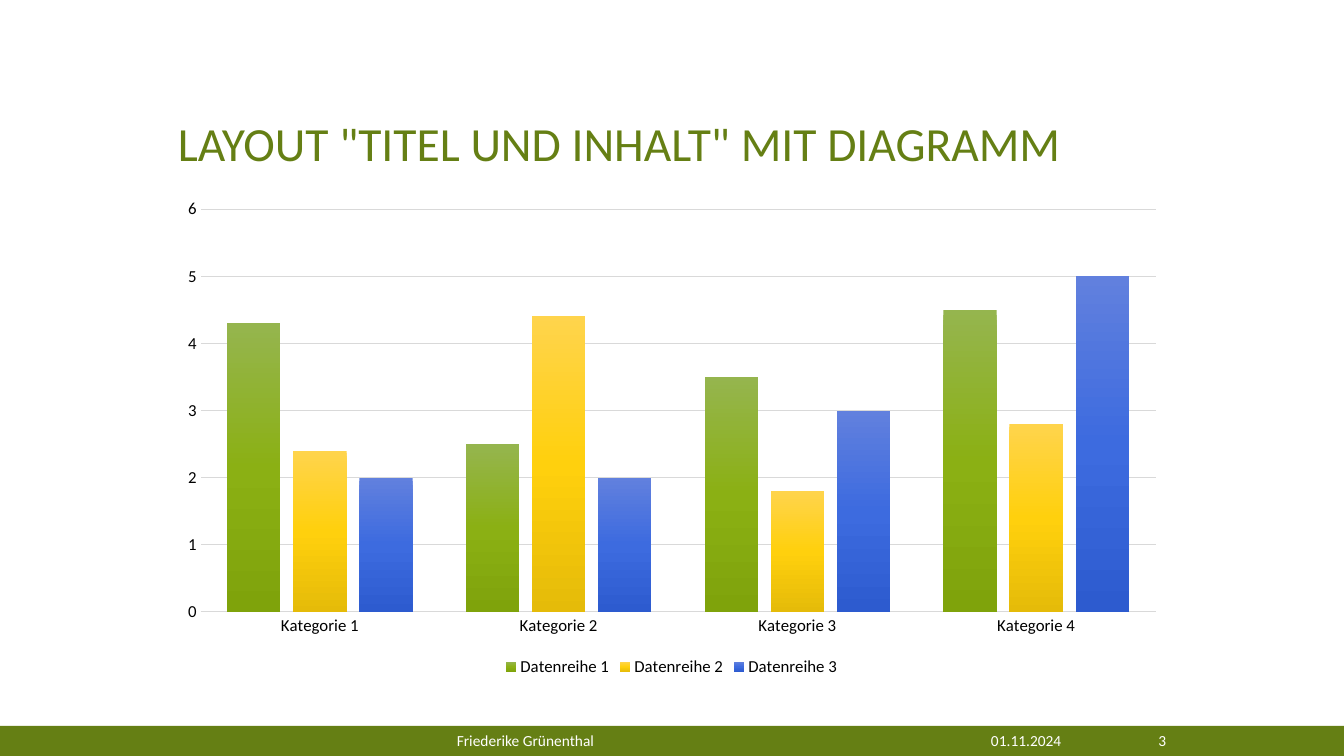
from lxml import etree
from pptx import Presentation
from pptx.chart import data
from pptx.dml.color import RGBColor
from pptx.enum import chart as ch, shapes, text
from pptx.oxml import ns
from pptx.util import Cm, Pt

FONT = "Calibri"
OLIVE = RGBColor(0x65, 0x7F, 0x14)
WHITE = RGBColor(0xFF, 0xFF, 0xFF)
BLACK = RGBColor(0, 0, 0)
GRID = RGBColor(0xD9, 0xD9, 0xD9)

HEADING = 'LAYOUT "TITEL UND INHALT" MIT DIAGRAMM'
CATEGORIES = [f"Kategorie {n}" for n in range(1, 5)]


def shades(*codes):
    return [RGBColor.from_string(code) for code in codes]


SERIES = [
    ("Datenreihe 1", (4.3, 2.5, 3.5, 4.5), shades("95B54E", "8BB014", "7FA30B")),
    ("Datenreihe 2", (2.4, 4.4, 1.8, 2.8), shades("FFD44C", "FFD00D", "E5BB09")),
    ("Datenreihe 3", (2, 2, 3, 5), shades("6180DE", "3D6BDF", "2D5BCF")),
]
FOOTER = [
    ("Friederike Grünenthal", 4.23, 18.03, text.PP_ALIGN.CENTER),
    ("01.11.2024", 22.73, 4.27, text.PP_ALIGN.RIGHT),
    ("3", 27.48, 2.16, text.PP_ALIGN.RIGHT),
]
WIDTH, HEIGHT = Cm(33.87), Cm(19.05)
LEFT, CONTENT_WIDTH = Cm(4.23), Cm(25.4)
BAND_TOP = Cm(18.29)


def style(font, size, color):
    font.name = FONT
    font.size = Pt(size)
    font.color.rgb = color


def add_words(paragraph, words, size, color):
    run = paragraph.add_run()
    run.text = words
    style(run.font, size, color)


def grade(fill, colors):
    fill.gradient()
    fill.gradient_angle = 270
    stops = fill._fill._gradFill.find(ns.qn("a:gsLst"))
    for stop in list(stops):
        stops.remove(stop)
    for index, color in enumerate(colors):
        stop = etree.SubElement(stops, ns.qn("a:gs"), pos=str(index * 50000))
        etree.SubElement(stop, ns.qn("a:srgbClr"), val=str(color))


def add_band(slide):
    band = slide.shapes.add_shape(
        shapes.MSO_SHAPE.RECTANGLE, 0, BAND_TOP, WIDTH, HEIGHT - BAND_TOP)
    band.shadow.inherit = False
    band.fill.solid()
    band.fill.fore_color.rgb = OLIVE
    band.line.fill.background()


def add_heading(slide):
    heading = slide.shapes.title
    heading.left, heading.top = LEFT, Cm(1.27)
    heading.width, heading.height = CONTENT_WIDTH, Cm(3.18)
    frame = heading.text_frame
    frame.word_wrap = True
    frame.auto_size = text.MSO_AUTO_SIZE.NONE
    frame.vertical_anchor = text.MSO_ANCHOR.BOTTOM
    paragraph = frame.paragraphs[0]
    paragraph.alignment = text.PP_ALIGN.LEFT
    paragraph.line_spacing = 0.9
    add_words(paragraph, HEADING, 34, OLIVE)


def add_columns(slide):
    figures = data.CategoryChartData()
    figures.categories = CATEGORIES
    for name, values, _ in SERIES:
        figures.add_series(name, values)
    columns = slide.shapes.add_chart(
        ch.XL_CHART_TYPE.COLUMN_CLUSTERED, LEFT, Cm(4.77),
        CONTENT_WIDTH, Cm(12.39), figures).chart
    style(columns.font, 12, BLACK)
    columns.has_title = False
    columns.has_legend = True
    columns.legend.position = ch.XL_LEGEND_POSITION.BOTTOM
    columns.legend.include_in_layout = False
    style(columns.legend.font, 12, BLACK)

    plot = columns.plots[0]
    plot.vary_by_categories = False
    plot.gap_width, plot.overlap = 100, -24
    for series, (_, _, colors) in zip(plot.series, SERIES):
        grade(series.format.fill, colors)

    scale = columns.value_axis
    scale.minimum_scale, scale.maximum_scale, scale.major_unit = 0, 6, 1
    scale.has_major_gridlines = True
    scale.format.line.fill.background()
    for axis in (columns.category_axis, scale):
        axis.major_tick_mark = axis.minor_tick_mark = ch.XL_TICK_MARK.NONE
        style(axis.tick_labels.font, 12, BLACK)
    for line in (columns.category_axis.format.line, scale.major_gridlines.format.line):
        line.color.rgb = GRID
        line.width = Pt(0.75)


def add_footer(slide):
    for words, left, width, alignment in FOOTER:
        frame = slide.shapes.add_textbox(
            Cm(left), Cm(18.34), Cm(width), Cm(0.64)).text_frame
        frame.word_wrap = True
        frame.vertical_anchor = text.MSO_ANCHOR.MIDDLE
        paragraph = frame.paragraphs[0]
        paragraph.alignment = alignment
        add_words(paragraph, words, 11, WHITE)


def main():
    deck = Presentation()
    deck.slide_width, deck.slide_height = WIDTH, HEIGHT
    slide = deck.slides.add_slide(deck.slide_layouts[5])
    add_band(slide)
    add_heading(slide)
    add_columns(slide)
    add_footer(slide)
    deck.save("out.pptx")


if __name__ == "__main__":
    main()
